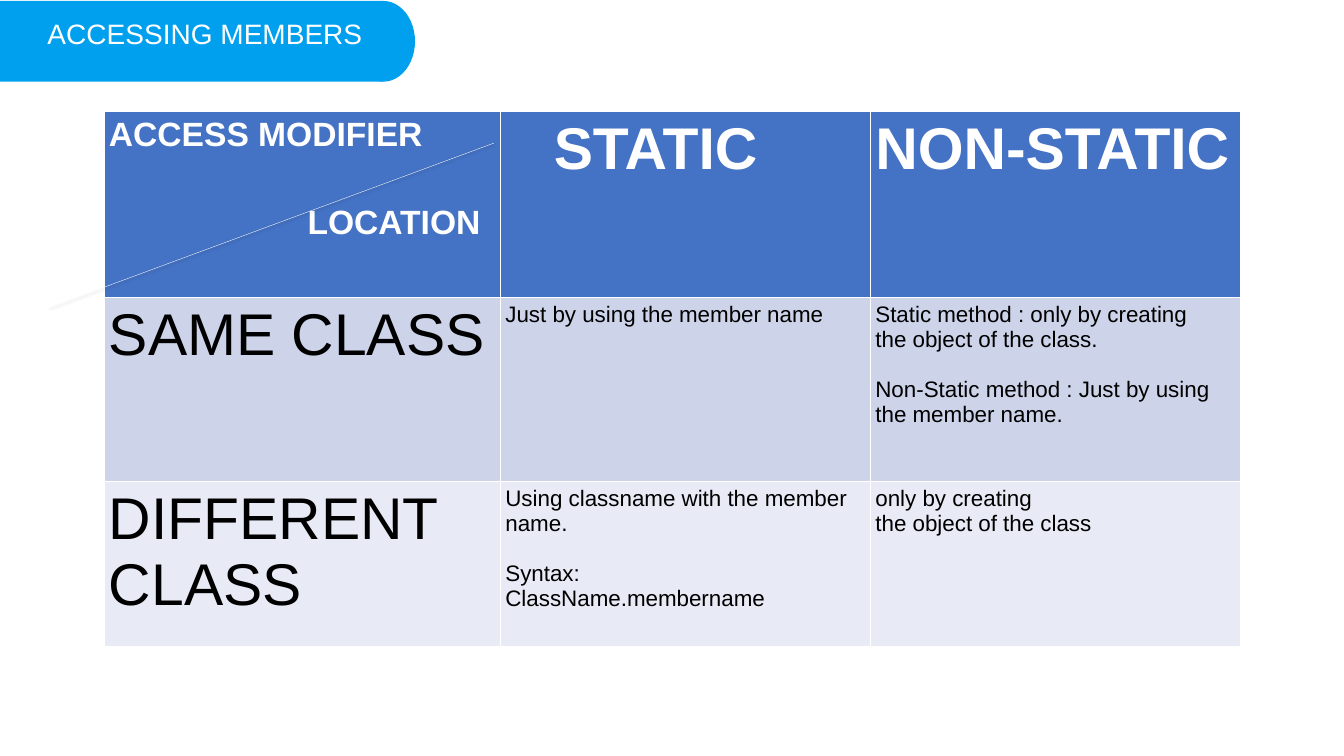
from dataclasses import dataclass
from lxml.etree import SubElement
from pptx import Presentation
from pptx.dml.color import RGBColor
from pptx.enum.shapes import MSO_CONNECTOR, MSO_SHAPE
from pptx.enum.text import MSO_ANCHOR, MSO_AUTO_SIZE, PP_ALIGN
from pptx.oxml.ns import qn
from pptx.slide import Slide
from pptx.table import _Cell
from pptx.util import Emu, Inches, Pt

WHITE = RGBColor(0xFF, 0xFF, 0xFF)
BLACK = RGBColor(0x00, 0x00, 0x00)
SKY = RGBColor(0x00, 0xA0, 0xEF)
HEADER_BLUE = RGBColor(0x44, 0x72, 0xC4)
BAND_DARK = RGBColor(0xCD, 0xD4, 0xEA)
BAND_LIGHT = RGBColor(0xE8, 0xEB, 0xF5)
FONT = "Arial"
WIDTH, HEIGHT = Inches(13.33), Inches(7.5)

# Table grid, in percent of the slide's width and height
TABLE_LEFT, TABLE_TOP = 7.73, 14.75
COLUMNS = (29.5, 27.53, 27.53)
ROWS = (24.6, 24.3, 21.8)


@dataclass(frozen=True)
class Para:
    text: str
    size: int = 16
    before: int = 0
    indent: float = 0


@dataclass(frozen=True)
class RowStyle:
    fill: RGBColor
    color: RGBColor
    bold: bool
    top: float
    bottom: float


STYLES = (
    RowStyle(HEADER_BLUE, WHITE, True, 0.25, 1),
    RowStyle(BAND_DARK, BLACK, False, 1, 0.25),
    RowStyle(BAND_LIGHT, BLACK, False, 0.25, 0.25),
)
CONTENT = (
    (
        (Para("ACCESS MODIFIER", 24), Para("LOCATION", 24, before=36, indent=14.78)),
        (Para("STATIC", 42, indent=3.6),),
        (Para("NON-STATIC", 42),),
    ),
    (
        (Para("SAME CLASS", 42),),
        (Para("Just by using the member name"),),
        (
            Para("Static method : only by creating"),
            Para("the object of the class."),
            Para("Non-Static method : Just by using the member name.", before=18),
        ),
    ),
    (
        (Para("DIFFERENT CLASS", 42),),
        (
            Para("Using classname with the member name."),
            Para("Syntax:", before=18),
            Para("ClassName.membername"),
        ),
        (Para("only by creating\nthe object of the class"),),
    ),
)


def across(percent: float) -> Emu:
    return Emu(round(WIDTH * percent / 100))


def down(percent: float) -> Emu:
    return Emu(round(HEIGHT * percent / 100))


def add_banner_part(page: Slide, kind: MSO_SHAPE, left: float, width: float) -> None:
    part = page.shapes.add_shape(
        kind, across(left), down(0.13), across(width), down(10.67))
    part.shadow.inherit = False
    part.fill.solid()
    part.fill.fore_color.rgb = SKY
    part.line.fill.background()


def place_title(page: Slide, text: str) -> None:
    title = page.shapes.title
    title.left, title.top = across(3.53), down(2.13)
    title.width, title.height = across(26.55), down(4.13)
    title.element.getparent().append(title.element)  # in front of the banner
    frame = title.text_frame
    frame.margin_left = frame.margin_right = frame.margin_top = frame.margin_bottom = 0
    frame.vertical_anchor = MSO_ANCHOR.TOP
    frame.auto_size = MSO_AUTO_SIZE.NONE
    para = frame.paragraphs[0]
    para.alignment = PP_ALIGN.LEFT
    span = para.add_run()
    span.text = text
    span.font.name, span.font.size = FONT, Pt(20)
    span.font.color.rgb = WHITE


def set_borders(cell: _Cell, style: RowStyle) -> None:
    properties = cell._tc.get_or_add_tcPr()
    sides = {"lnL": 0.25, "lnR": 0.25, "lnT": style.top, "lnB": style.bottom}
    for tag, points in sides.items():
        border = SubElement(properties, qn(f"a:{tag}"), w=str(int(Pt(points))))
        fill = SubElement(border, qn("a:solidFill"))
        SubElement(fill, qn("a:srgbClr"), val=str(WHITE))


def fill_cell(cell: _Cell, paras: tuple[Para, ...], style: RowStyle) -> None:
    set_borders(cell, style)
    cell.fill.solid()
    cell.fill.fore_color.rgb = style.fill
    cell.margin_left = cell.margin_right = Inches(0.05)
    cell.margin_top = cell.margin_bottom = Inches(0.05)
    frame = cell.text_frame
    for index, item in enumerate(paras):
        para = frame.add_paragraph() if index else frame.paragraphs[0]
        if item.indent:
            para._p.get_or_add_pPr().set("marL", str(across(item.indent)))
        if item.before:
            para.space_before = Pt(item.before)
        for number, line in enumerate(item.text.split("\n")):
            if number:
                para.add_line_break()
            span = para.add_run()
            span.text = line
            span.font.name, span.font.size = FONT, Pt(item.size)
            span.font.bold = style.bold
            span.font.color.rgb = style.color


def add_access_table(page: Slide) -> None:
    table = page.shapes.add_table(
        len(ROWS), len(COLUMNS), across(TABLE_LEFT), down(TABLE_TOP),
        across(sum(COLUMNS)), down(sum(ROWS))).table
    for column, share in zip(table.columns, COLUMNS):
        column.width = across(share)
    for row, share, contents, style in zip(table.rows, ROWS, CONTENT, STYLES):
        row.height = down(share)
        for cell, paras in zip(row.cells, contents):
            fill_cell(cell, paras, style)


def add_diagonal(page: Slide) -> None:
    diagonal = page.shapes.add_connector(
        MSO_CONNECTOR.STRAIGHT, across(36.75), down(18.93), across(3.68), down(40.67))
    diagonal.line.color.rgb = WHITE
    diagonal.line.width = Pt(0.25)
    effects = SubElement(diagonal.element.spPr, qn("a:effectLst"))
    shadow = SubElement(effects, qn("a:outerShdw"), blurRad=str(int(Pt(2))),
                        dist=str(int(Pt(1))), dir="5400000", rotWithShape="0")
    color = SubElement(shadow, qn("a:srgbClr"), val=str(BLACK))
    SubElement(color, qn("a:alpha"), val="40000")


def main() -> None:
    deck = Presentation()
    deck.slide_width, deck.slide_height = WIDTH, HEIGHT
    page = deck.slides.add_slide(deck.slide_layouts[5])

    # Rounded banner with the title
    add_banner_part(page, MSO_SHAPE.RECTANGLE, 0, 28.5)
    add_banner_part(page, MSO_SHAPE.OVAL, 26.18, 4.7)
    place_title(page, "ACCESSING MEMBERS")

    # Access table and the line across its corner cell
    add_access_table(page)
    add_diagonal(page)
    deck.save("out.pptx")


if __name__ == "__main__":
    main()
